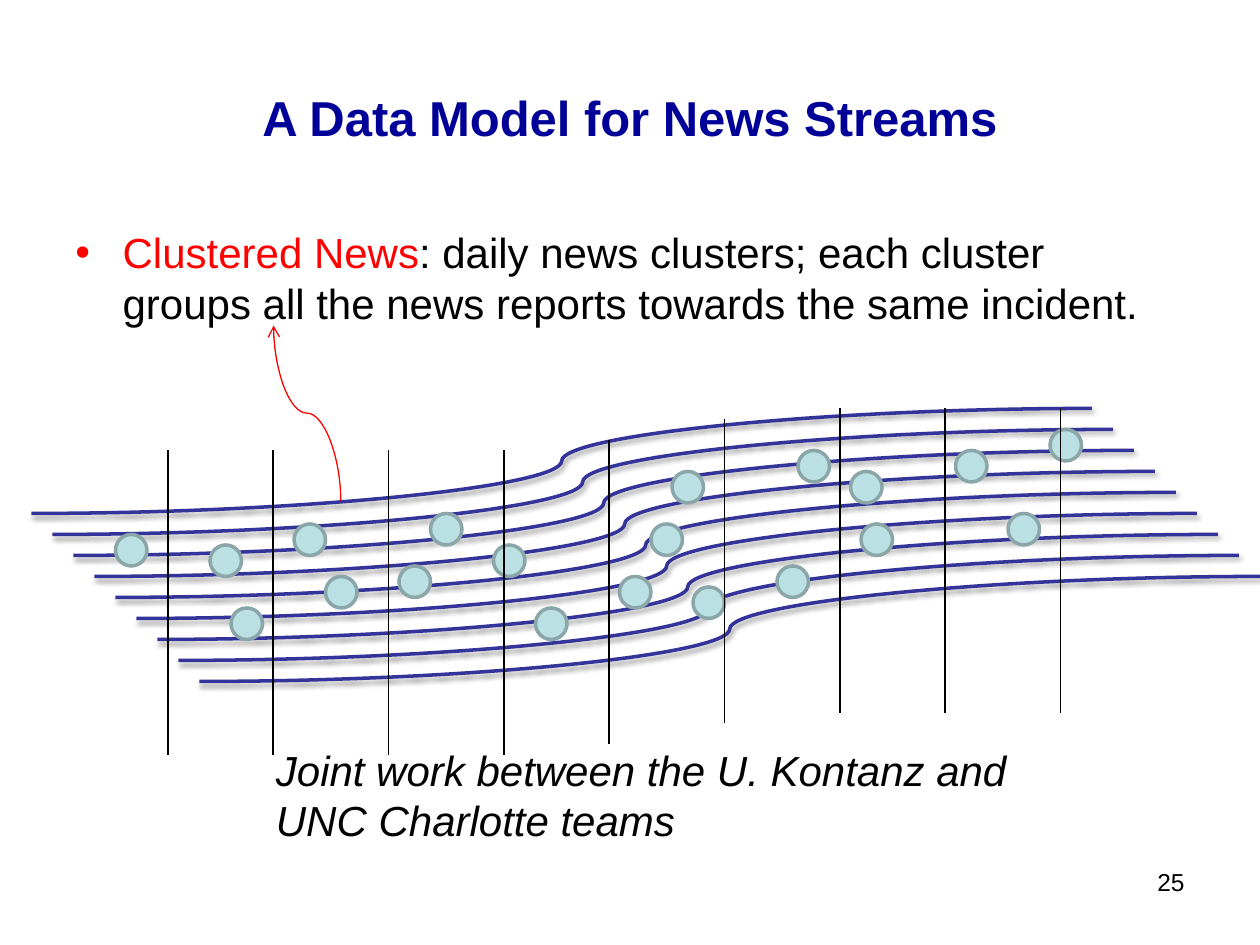
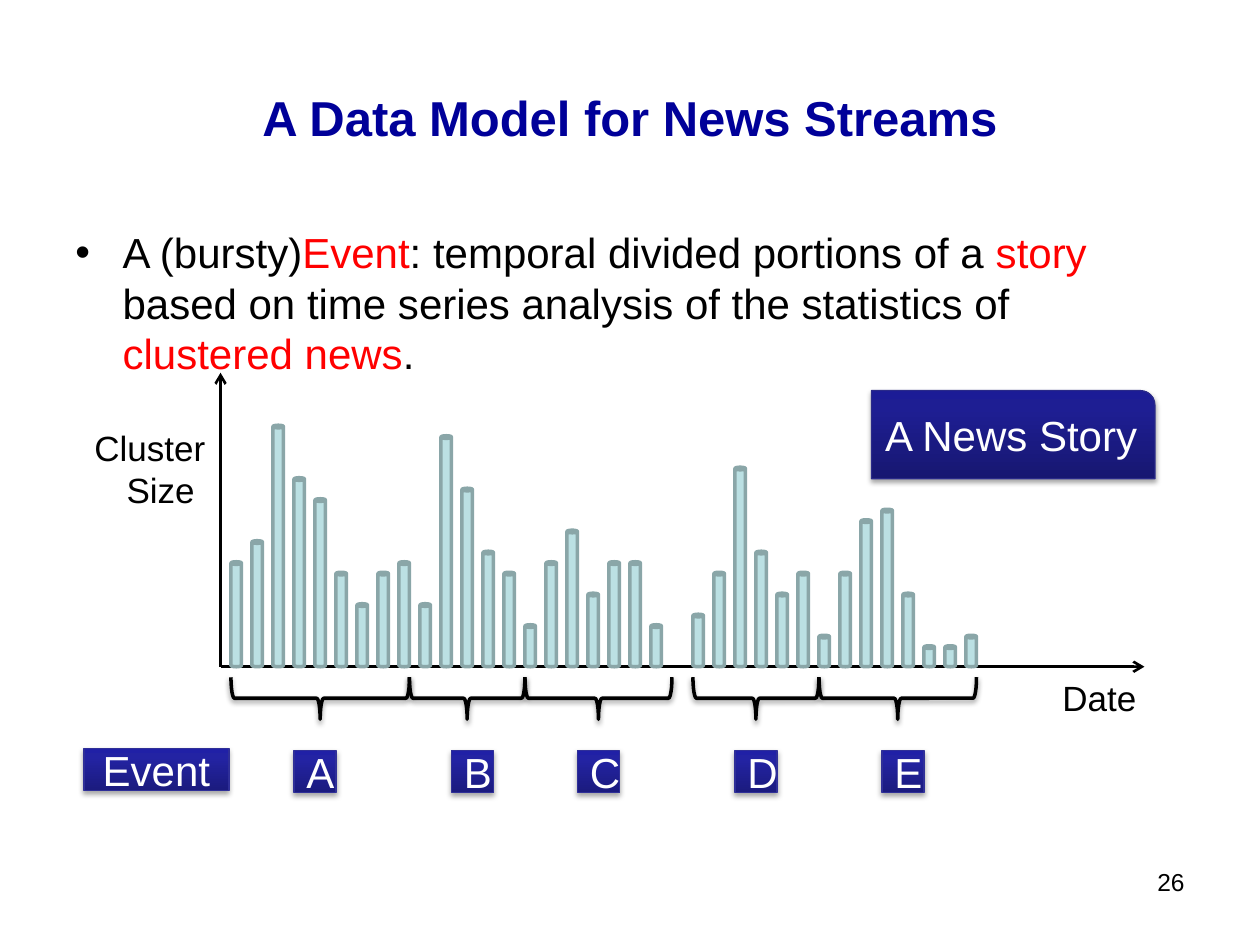
from dataclasses import dataclass
from typing import NamedTuple

from lxml.etree import SubElement
from pptx import Presentation
from pptx.dml.color import RGBColor
from pptx.enum.shapes import MSO_CONNECTOR, MSO_SHAPE
from pptx.enum.text import MSO_ANCHOR, MSO_AUTO_SIZE, PP_ALIGN
from pptx.oxml.ns import qn
from pptx.util import Emu, Inches, Pt

# The slide is a grid of 120 columns by 90 rows, twelve cells to the inch.
COLUMNS, ROWS = 120, 90
FONT = "Arial"
BLACK, WHITE, RED = "000000", "FFFFFF", "FF0000"
TITLE_BLUE, STREAM_BLUE = "000099", "333399"
PALE_TEAL, TEAL_EDGE = "BBE0E3", "8AA6A8"
TITLE = "A Data Model for News Streams"

STREAM_COUNT = 9
STREAM_TOP = 38.9
CLUSTER_SIZE = 3
DAY_HEIGHT = 29
AXIS_LEFT, AXIS_BASE = 21, 63.5


class Area(NamedTuple):
    column: float
    row: float
    width: float
    height: float


class Run(NamedTuple):
    text: str
    color: str = BLACK


class Shadow(NamedTuple):
    opacity: int
    blur: float
    distance: float


class Gradient(NamedTuple):
    bottom: str
    upper: str
    top: str
    edge: str


class Cell(NamedTuple):
    column: float
    row: float


class AxisLine(NamedTuple):
    begin: Cell
    end: Cell
    arrow: bool


@dataclass(frozen=True)
class Event:
    name: str
    start: int
    end: int
    label_column: int
    cluster_sizes: tuple[int, ...]


LINE_SHADOW = Shadow(38, 3.1, 1.6)
BOX_SHADOW = Shadow(35, 3.1, 1.8)
LABEL_FILL = Gradient("1B1B7E", "2323A3", "2020A6", "2F2F98")
STORY_FILL = Gradient("171771", "1E1E93", "1C1C96", "2A2A89")

# Rows are counted from the top of the streams.
CLUSTERS = [Cell(*place) for place in (
    (11, 12), (20, 13), (22, 19), (28, 11), (31, 16), (38, 15), (41, 10),
    (47, 13), (51, 19), (59, 16), (62, 11), (64, 6), (66, 17), (74, 15),
    (76, 4), (81, 6), (82, 11), (91, 4), (96, 10), (100, 2))]
DAYS = [Cell(*place) for place in (
    (16, 4), (26, 4), (37, 4), (48, 4), (58, 3), (69, 1), (80, 0), (90, 0), (101, 0))]

AXES = [
    AxisLine(Cell(AXIS_LEFT, AXIS_BASE), Cell(108, AXIS_BASE), False),
    AxisLine(Cell(AXIS_LEFT, AXIS_BASE), Cell(AXIS_LEFT, 39.5), False),
    AxisLine(Cell(101, AXIS_BASE), Cell(109, AXIS_BASE), True),
    AxisLine(Cell(AXIS_LEFT, 48.5), Cell(AXIS_LEFT, 35.5), True),
]
EVENTS = [
    Event("A", 22, 39, 28, (10, 12, 23, 18, 16, 9, 6, 9, 10)),
    Event("B", 39, 50, 43, (6, 22, 17, 11, 9)),
    Event("C", 50, 64, 55, (4, 10, 13, 7, 10, 10, 4)),
    Event("D", 66, 78, 70, (5, 9, 19, 11, 7, 9)),
    Event("E", 78, 93, 84, (3, 9, 14, 15, 7, 2, 2, 3)),
]


def cells(count: float) -> Emu:
    return Inches(count / 12)


def rgb(color: str) -> RGBColor:
    return RGBColor.from_string(color)


def add_child(parent, tag: str, **attributes):
    return SubElement(parent, qn(tag), {key: str(value) for key, value in attributes.items()})


def set_shadow(item, shadow: Shadow | None) -> None:
    """Replace the theme shadow; call after fill and line are set."""
    effects = add_child(item.element.spPr, "a:effectLst")
    if shadow:
        outer = add_child(effects, "a:outerShdw", blurRad=Pt(shadow.blur),
                          dist=Pt(shadow.distance), dir=5400000, rotWithShape=0)
        color = add_child(outer, "a:srgbClr", val=BLACK)
        add_child(color, "a:alpha", val=shadow.opacity * 1000)


def set_gradient(shape, gradient: Gradient) -> None:
    fill = add_child(shape.element.spPr, "a:gradFill", rotWithShape=1)
    stops = add_child(fill, "a:gsLst")
    for position, color in zip((0, 80, 100), gradient[:3]):
        stop = add_child(stops, "a:gs", pos=position * 1000)
        add_child(stop, "a:srgbClr", val=color)
    add_child(fill, "a:lin", ang=16200000, scaled=0)


def add_runs(paragraph, runs: list[Run], size: int, bold=False, italic=False) -> None:
    for text, color in runs:
        run = paragraph.add_run()
        run.text = text
        run.font.name, run.font.size = FONT, Pt(size)
        run.font.bold, run.font.italic = bold, italic
        run.font.color.rgb = rgb(color)


def add_text(slide, area: Area, runs: list[Run], size: int, align=PP_ALIGN.LEFT,
             anchor=MSO_ANCHOR.TOP, grow=False, bold=False, italic=False):
    frame = slide.shapes.add_textbox(*map(cells, area)).text_frame
    frame.word_wrap = True
    frame.vertical_anchor = anchor
    if grow:
        frame.auto_size = MSO_AUTO_SIZE.SHAPE_TO_FIT_TEXT
    paragraph = frame.paragraphs[0]
    paragraph.alignment = align
    add_runs(paragraph, runs, size, bold, italic)
    return frame


def add_figure(slide, kind: MSO_SHAPE, area: Area, fill: str | Gradient | None,
               edge: str, edge_width: float, shadow: Shadow | None = None):
    shape = slide.shapes.add_shape(kind, *map(cells, area))
    if isinstance(fill, Gradient):
        set_gradient(shape, fill)
    elif fill:
        shape.fill.solid()
        shape.fill.fore_color.rgb = rgb(fill)
    else:
        shape.fill.background()
    shape.line.color.rgb = rgb(edge)
    shape.line.width = Pt(edge_width)
    set_shadow(shape, shadow)
    return shape


def add_label(slide, kind: MSO_SHAPE, area: Area, text: str, gradient: Gradient) -> None:
    shape = add_figure(slide, kind, area, gradient, gradient.edge, 0.75, BOX_SHADOW)
    frame = shape.text_frame
    frame.vertical_anchor = MSO_ANCHOR.MIDDLE
    paragraph = frame.paragraphs[0]
    paragraph.alignment = PP_ALIGN.CENTER
    add_runs(paragraph, [Run(text, WHITE)], 24)


def add_line(slide, begin: Cell, end: Cell, color: str, width: float,
             kind=MSO_CONNECTOR.STRAIGHT, arrow=False, shadow: Shadow | None = None):
    connector = slide.shapes.add_connector(kind, *map(cells, (*begin, *end)))
    connector.line.color.rgb = rgb(color)
    connector.line.width = Pt(width)
    if arrow:
        add_child(connector.element.spPr.find(qn("a:ln")), "a:tailEnd", type="arrow")
    set_shadow(connector, shadow)
    return connector


def add_base_slide(presentation, number: int, statement: list[Run]):
    """Add a slide with the shared title, a bulleted statement and its number."""
    slide = presentation.slides.add_slide(presentation.slide_layouts[6])
    add_text(slide, Area(6, 3.6, 108, 15), [Run(TITLE, TITLE_BLUE)], 28,
             PP_ALIGN.CENTER, MSO_ANCHOR.MIDDLE, bold=True)
    frame = add_text(slide, Area(6, 21, 108, 59.4), statement, 24)
    properties = frame.paragraphs[0]._p.get_or_add_pPr()
    properties.set("marL", str(cells(4.5)))
    properties.set("indent", str(-cells(4.5)))
    add_child(properties, "a:buFont", typeface=FONT)
    add_child(properties, "a:buChar", char="•")
    add_text(slide, Area(86, 82, 28, 6.2), [Run(str(number))], 14, PP_ALIGN.RIGHT)
    return slide


def build_stream_slide(presentation) -> None:
    slide = add_base_slide(presentation, 25, [
        Run("Clustered News", RED),
        Run(": daily news clusters; each cluster groups all the news reports "
            "towards the same incident.")])
    for index in range(STREAM_COUNT):
        begin = Cell(3 + 2 * index, STREAM_TOP + 10 + 2 * index)
        end = Cell(begin.column + 101, begin.row - 10)
        add_line(slide, begin, end, STREAM_BLUE, 2, MSO_CONNECTOR.CURVE, shadow=LINE_SHADOW)
    for column, row in CLUSTERS:
        add_figure(slide, MSO_SHAPE.FLOWCHART_CONNECTOR,
                   Area(column, STREAM_TOP + row, CLUSTER_SIZE, CLUSTER_SIZE),
                   PALE_TEAL, TEAL_EDGE, 2)
    for column, row in DAYS:
        top = STREAM_TOP + row
        add_line(slide, Cell(column, top), Cell(column, top + DAY_HEIGHT), BLACK, 0.75)
    pointer = add_line(slide, Cell(20.9, 42.55), Cell(37.6, 36.15), RED, 0.75,
                       MSO_CONNECTOR.CURVE, arrow=True)
    pointer.element.spPr.find(qn("a:xfrm")).set("rot", str(270 * 60000))
    add_text(slide, Area(25.1, 70.3, 78.5, 10.9),
             [Run("Joint work between the U. Kontanz and UNC Charlotte teams")],
             24, grow=True, italic=True)


def add_event(slide, event: Event) -> None:
    """Draw an event's bars, the brace under them and its label."""
    first_bar = event.start + event.start % 2
    for index, size in enumerate(event.cluster_sizes):
        add_figure(slide, MSO_SHAPE.CAN,
                   Area(first_bar + 2 * index, AXIS_BASE - size, 1, size),
                   PALE_TEAL, TEAL_EDGE, 2)
    span = event.end - event.start
    middle = (event.start + event.end) / 2
    brace = add_figure(slide, MSO_SHAPE.LEFT_BRACE,
                       Area(middle - 2, AXIS_BASE + 3 - span / 2, 4, span),
                       None, BLACK, 2, LINE_SHADOW)
    brace.rotation = 270
    add_label(slide, MSO_SHAPE.FLOWCHART_PROCESS, Area(event.label_column, 71.5, 4, 4),
              event.name, LABEL_FILL)


def build_event_slide(presentation) -> None:
    slide = add_base_slide(presentation, 26, [
        Run("A (bursty)"), Run("Event", RED),
        Run(": temporal divided portions of a "), Run("story ", RED),
        Run("based on time series analysis of the statistics of "),
        Run("clustered news", RED), Run(".")])
    for axis in AXES:
        add_line(slide, axis.begin, axis.end, BLACK, 1.5, arrow=axis.arrow)
    for event in EVENTS:
        add_event(slide, event)
    add_label(slide, MSO_SHAPE.FLOWCHART_PROCESS, Area(8, 71.3, 13.8, 4), "Event", LABEL_FILL)
    add_label(slide, MSO_SHAPE.ROUND_1_RECTANGLE, Area(83, 37.2, 27, 8.4),
              "A News Story", STORY_FILL)
    add_text(slide, Area(100, 63.8, 11, 5.3), [Run("Date")], 20, grow=True)
    axis_name = add_text(slide, Area(7.8, 40, 15, 9.2), [Run("Cluster")], 20, grow=True)
    second_line = axis_name.add_paragraph()
    second_line.alignment = PP_ALIGN.CENTER
    add_runs(second_line, [Run("Size")], 20)


def main() -> None:
    presentation = Presentation()
    presentation.slide_width = cells(COLUMNS)
    presentation.slide_height = cells(ROWS)
    build_stream_slide(presentation)
    build_event_slide(presentation)
    presentation.save("out.pptx")


if __name__ == "__main__":
    main()
